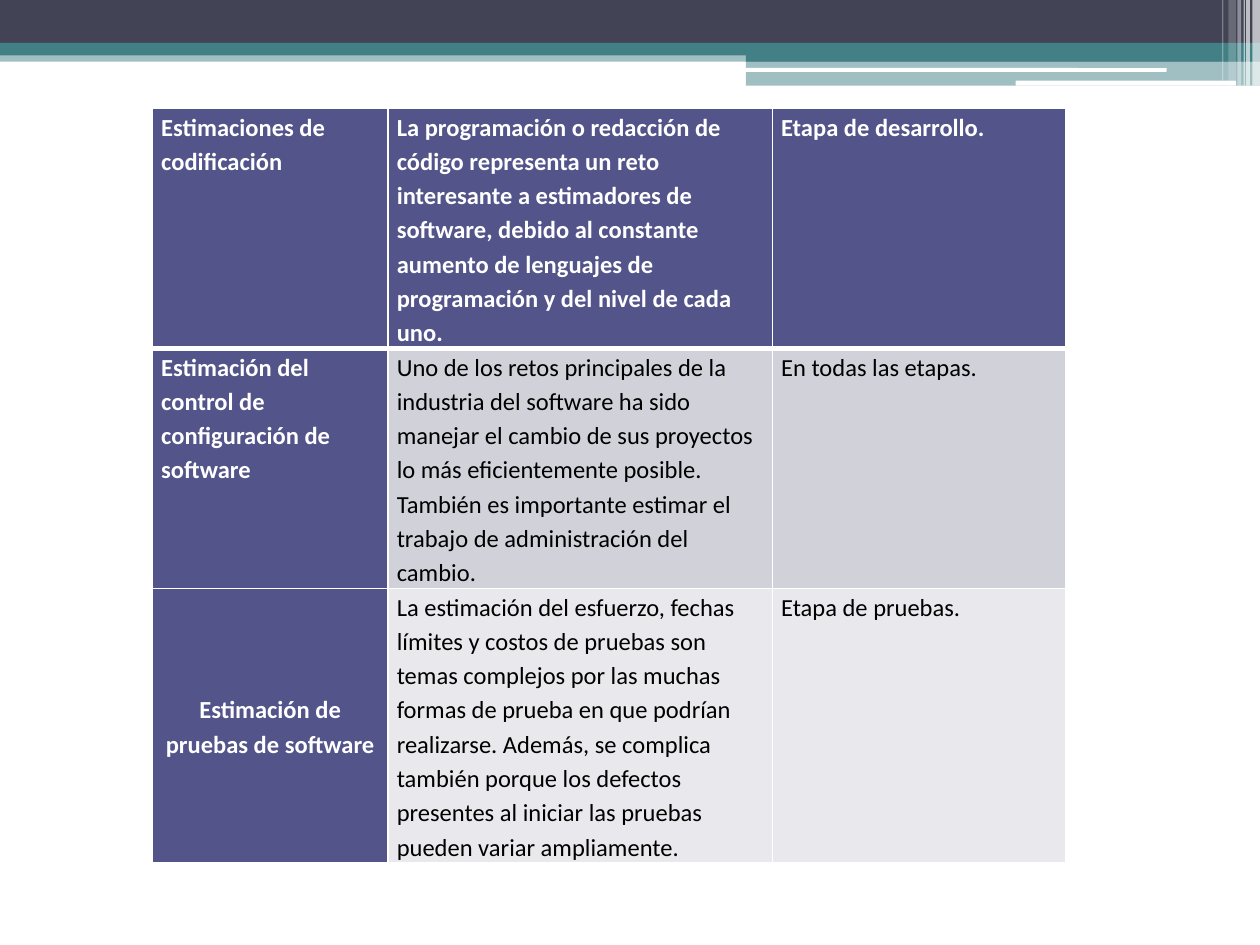
from pptx import Presentation
from pptx.dml.color import RGBColor
from pptx.enum.shapes import MSO_SHAPE
from pptx.enum.text import MSO_ANCHOR, PP_ALIGN
from pptx.oxml.ns import qn
from pptx.util import Inches, Pt
from lxml.etree import SubElement

WHITE = RGBColor(0xFF, 0xFF, 0xFF)
BLACK = RGBColor(0x00, 0x00, 0x00)
SLATE = RGBColor(0x42, 0x44, 0x56)
TEAL = RGBColor(0x43, 0x80, 0x86)
INDIGO = RGBColor(0x53, 0x54, 0x8A)
BAND_DARK = RGBColor(0xD1, 0xD1, 0xDA)
BAND_LIGHT = RGBColor(0xE9, 0xE9, 0xED)

RECT, ROUND = MSO_SHAPE.RECTANGLE, MSO_SHAPE.ROUNDED_RECTANGLE
# kind, (left, top, width, height), colour, opacity in percent
BANNER = [
    (RECT, (0, 0.4, 10, 0.09), TEAL, 50),
    (RECT, (0, 0, 10, 0.34), SLATE, 100),
    (RECT, (0, 0.34, 10, 0.1), TEAL, 100),
    (RECT, (5.92, 0.39, 4.08, 0.1), TEAL, 100),
    (RECT, (5.92, 0.48, 4.08, 0.2), TEAL, 50),
    (ROUND, (5.91, 0.54, 3.35, 0.03), WHITE, 100),
    (ROUND, (8.06, 0.64, 1.75, 0.04), WHITE, 100),
]
# left, width, height, opacity in percent
STRIPES = [
    (9.94, 0.06, 0.68, 65),
    (9.89, 0.03, 0.68, 65),
    (9.87, 0.01, 0.68, 60),
    (9.82, 0.03, 0.68, 40),
    (9.75, 0.06, 0.64, 20),
    (9.7, 0.01, 0.64, 30),
]
ROWS = [
    ("Estimaciones de codificación",
     "La programación o redacción de código representa un reto interesante a "
     "estimadores de software, debido al constante aumento de lenguajes de "
     "programación y del nivel de cada uno.",
     "Etapa de desarrollo."),
    ("Estimación del control de configuración de software",
     "Uno de los retos principales de la industria del software ha sido manejar "
     "el cambio de sus proyectos lo más eficientemente posible. También es "
     "importante estimar el trabajo de administración del cambio.",
     "En todas las etapas."),
    ("Estimación de pruebas de software",
     "La estimación del esfuerzo, fechas límites y costos de pruebas son temas "
     "complejos por las muchas formas de prueba en que podrían realizarse. "
     "Además, se complica también porque los defectos presentes al iniciar las "
     "pruebas pueden variar ampliamente.",
     "Etapa de pruebas."),
]
COLUMN_WIDTHS = (1.87, 3.05, 2.33)
ROW_HEIGHTS = (1.8, 1.8, 2.16)
BANDS = (INDIGO, BAND_DARK, BAND_LIGHT)


def add_bar(page, kind, place, colour, opacity):
    """Add one borderless bar of the banner."""
    bar = page.shapes.add_shape(kind, *(Inches(length) for length in place))
    bar.shadow.inherit = False
    bar.fill.solid()
    bar.fill.fore_color.rgb = colour
    bar.line.fill.background()
    if opacity < 100:
        tint = bar.fill._xPr.find(qn("a:solidFill"))[0]
        SubElement(tint, qn("a:alpha"), val=str(opacity * 1000))


def set_borders(cell, bottom):
    """Draw white borders, the lower one as wide as given in points."""
    properties = cell._tc.get_or_add_tcPr()
    widths = {"a:lnL": 1, "a:lnR": 1, "a:lnT": 1, "a:lnB": bottom}
    for index, (tag, width) in enumerate(widths.items()):
        line = SubElement(properties, qn(tag), w=str(Pt(width)))
        fill = SubElement(line, qn("a:solidFill"))
        SubElement(fill, qn("a:srgbClr"), val=str(WHITE))
        properties.insert(index, line)


def fill_cell(cell, text, colour, strong):
    """Write and colour one table cell."""
    cell.margin_left = cell.margin_right = Inches(0.07)
    cell.margin_top = cell.margin_bottom = 0
    cell.fill.solid()
    cell.fill.fore_color.rgb = colour
    para = cell.text_frame.paragraphs[0]
    para.line_spacing = 1.15
    para.space_after = Pt(10)
    span = para.add_run()
    span.text = text
    span.font.name = "Calibri"
    span.font.size = Pt(14)
    span.font.bold = strong
    span.font.color.rgb = WHITE if strong else BLACK


def add_estimates(page):
    """Add the table of estimates, with a strong first row and column."""
    frame = page.shapes.add_table(
        len(ROWS), len(COLUMN_WIDTHS), Inches(1.21), Inches(0.86),
        Inches(sum(COLUMN_WIDTHS)), Inches(sum(ROW_HEIGHTS)))
    table = frame.table
    for column, width in zip(table.columns, COLUMN_WIDTHS):
        column.width = Inches(width)
    for r, (texts, height) in enumerate(zip(ROWS, ROW_HEIGHTS)):
        table.rows[r].height = Inches(height)
        for c, text in enumerate(texts):
            cell = table.cell(r, c)
            strong = r == 0 or c == 0
            fill_cell(cell, text, INDIGO if strong else BANDS[r], strong)
            set_borders(cell, 3 if r == 0 else 1)
    last_heading = table.cell(len(ROWS) - 1, 0)
    last_heading.vertical_anchor = MSO_ANCHOR.MIDDLE
    last_heading.text_frame.paragraphs[0].alignment = PP_ALIGN.CENTER


deck = Presentation()
deck.slide_width, deck.slide_height = Inches(10), Inches(7.5)
page = deck.slides.add_slide(deck.slide_layouts[6])
for bar in BANNER:
    add_bar(page, *bar)
for left, width, height, opacity in STRIPES:
    add_bar(page, RECT, (left, 0, width, height), WHITE, opacity)
add_estimates(page)
deck.save("out.pptx")
